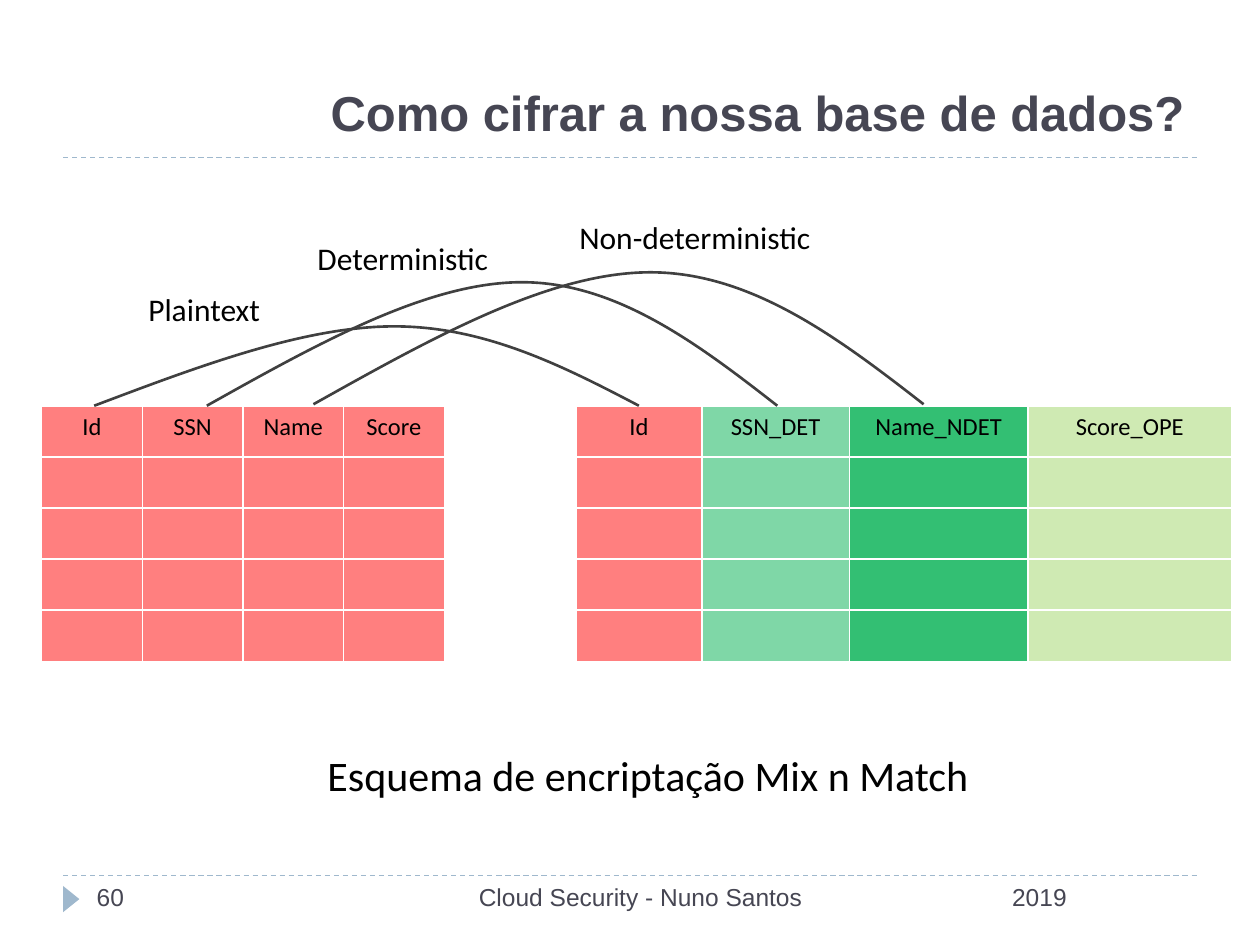
from typing import NamedTuple

from lxml.etree import SubElement
from pptx import Presentation
from pptx.dml.color import RGBColor
from pptx.enum.dml import MSO_LINE
from pptx.enum.shapes import MSO_CONNECTOR, MSO_SHAPE
from pptx.enum.text import MSO_ANCHOR, PP_ALIGN
from pptx.oxml import parse_xml
from pptx.oxml.ns import nsdecls, qn
from pptx.util import Cm, Pt

INK, SLATE, ACCENT = "000000", "464653", "9FB8CD"
LINE, WHITE = "404040", "FFFFFF"
RED, GREEN, LIME = "FF0000", "00B050", "92D050"
TOP, ROW, ROWS = 8.18, 1.03, 5


class Column(NamedTuple):
    name: str
    width: float
    fill: str = RED
    alpha: int = 50


class Label(NamedTuple):
    text: str
    left: float
    top: float
    width: float
    height: float = 1.02
    size: int = 18
    font: str = "Calibri"
    color: str = INK
    align: PP_ALIGN = PP_ALIGN.LEFT
    wrap: bool = False


class Arc(NamedTuple):
    start: float
    mid: float
    end: float
    base: float
    peak: float


PLAIN = [Column(name, 2.03) for name in ("Id", "SSN", "Name", "Score")]
CIPHER = [
    Column("Id", 2.54),
    Column("SSN_DET", 2.97, GREEN),
    Column("Name_NDET", 3.6, GREEN, 80),
    Column("Score_OPE", 4.11, LIME, 43),
]
ARCS = [
    Arc(1.9, 7.95, 12.88, 8.18, 6.58),
    Arc(4.17, 10.52, 15.67, 8.18, 5.69),
    Arc(6.32, 13.11, 18.62, 8.15, 5.49),
]
FOOT = dict(top=17.65, size=14, font="Arial", color=SLATE, wrap=True)
LABELS = [
    Label("Plaintext", 2.74, 5.72, 2.79),
    Label("Deterministic", 6.15, 4.7, 3.99),
    Label("Non-deterministic", 11.43, 4.27, 6.1, wrap=True),
    Label("Esquema de encriptação Mix n Match", 6.35, 14.99, 13.44, 1.27, 24),
    Label("60", left=1.7, width=5.51, **FOOT),
    Label("Cloud Security - Nuno Santos", left=8.05, width=9.73,
          align=PP_ALIGN.CENTER, **FOOT),
    Label("2019", left=17.78, width=6.35, align=PP_ALIGN.CENTER, **FOOT),
]


def rgb(code: str) -> RGBColor:
    return RGBColor.from_string(code)


def write(frame, text: str, size: int, font: str, color: str,
          align: PP_ALIGN, bold: bool = False) -> None:
    para = frame.paragraphs[0]
    para.alignment = align
    run = para.add_run()
    run.text = text
    run.font.size = Pt(size)
    run.font.name = font
    run.font.bold = bold
    run.font.color.rgb = rgb(color)


def add_label(slide, label: Label) -> None:
    box = slide.shapes.add_textbox(Cm(label.left), Cm(label.top),
                                   Cm(label.width), Cm(label.height))
    box.text_frame.word_wrap = label.wrap
    write(box.text_frame, label.text, label.size, label.font,
          label.color, label.align)


def add_rule(slide, top: float) -> None:
    """Draw a dashed line across the slide."""
    rule = slide.shapes.add_connector(MSO_CONNECTOR.STRAIGHT, Cm(1.27),
                                      Cm(top), Cm(24.13), Cm(top))
    rule.line.color.rgb = rgb(ACCENT)
    rule.line.width = Pt(0.75)
    rule.line.dash_style = MSO_LINE.DASH
    SubElement(rule.element.spPr, qn("a:effectLst"))


def paint(cell, fill: str, alpha: int) -> None:
    """Give a cell a see-through fill and white borders."""
    cell.fill.solid()
    cell.fill.fore_color.rgb = rgb(fill)
    props = cell._tc.tcPr
    tint = props.find(".//" + qn("a:srgbClr"))
    SubElement(tint, qn("a:alpha"), val=str(alpha * 1000))
    for spot, side in enumerate("LRTB"):
        props.insert(spot, parse_xml(
            f'<a:ln{side} {nsdecls("a")} w="12700"><a:solidFill>'
            f'<a:srgbClr val="{WHITE}"/></a:solidFill></a:ln{side}>'))


def add_grid(slide, left: float, cols: list[Column]) -> None:
    width = sum(col.width for col in cols)
    table = slide.shapes.add_table(ROWS, len(cols), Cm(left), Cm(TOP),
                                   Cm(width), Cm(ROW * ROWS)).table
    table.first_row = table.horz_banding = False
    for row in table.rows:
        row.height = Cm(ROW)
    for spot, col in enumerate(cols):
        table.columns[spot].width = Cm(col.width)
        for row in range(ROWS):
            paint(table.cell(row, spot), col.fill, col.alpha)
        write(table.cell(0, spot).text_frame, col.name, 14, "Calibri",
              INK, PP_ALIGN.CENTER)


def add_arc(slide, arc: Arc) -> None:
    """Draw two Bézier curves that meet at the peak."""
    rise, fall = arc.mid - arc.start, arc.end - arc.mid
    half = (arc.base + arc.peak) / 2
    points = [
        (arc.start + 0.35 * rise, half),
        (arc.start + 0.7 * rise, arc.peak),
        (arc.mid, arc.peak),
        (arc.mid + 0.37 * fall, arc.peak),
        (arc.mid + 0.69 * fall, half),
        (arc.end, arc.base),
    ]
    pen = slide.shapes.build_freeform(Cm(arc.start), Cm(arc.base))
    pen.add_line_segments([(Cm(x), Cm(y)) for x, y in points], close=False)
    shape = pen.convert_to_shape()
    shape.shadow.inherit = False
    shape.fill.background()
    shape.line.color.rgb = rgb(LINE)
    shape.line.width = Pt(1.5)
    # Every three straight segments become one cubic curve.
    track = shape.element.spPr.find(".//" + qn("a:path"))
    steps = track.findall(qn("a:lnTo"))
    for first in range(0, len(steps), 3):
        curve = SubElement(track, qn("a:cubicBezTo"))
        for step in steps[first:first + 3]:
            curve.append(step[0])
            track.remove(step)


def add_mark(slide) -> None:
    """Draw the small triangle beside the slide number."""
    mark = slide.shapes.add_shape(MSO_SHAPE.ISOSCELES_TRIANGLE, Cm(1.17),
                                  Cm(17.96), Cm(0.53), Cm(0.33))
    mark.rotation = 90
    mark.shadow.inherit = False
    mark.fill.solid()
    mark.fill.fore_color.rgb = rgb(ACCENT)
    mark.line.fill.background()


def set_title(slide, text: str) -> None:
    title = slide.shapes.title
    title.left, title.top = Cm(3.02), Cm(0.64)
    title.width, title.height = Cm(21.11), Cm(2.34)
    title.text_frame.vertical_anchor = MSO_ANCHOR.BOTTOM
    write(title.text_frame, text, 28, "Arial", SLATE, PP_ALIGN.RIGHT, True)


def main() -> None:
    deck = Presentation()
    deck.slide_width, deck.slide_height = Cm(25.4), Cm(19.05)
    slide = deck.slides.add_slide(deck.slide_layouts[5])
    set_title(slide, "Como cifrar a nossa base de dados?")
    for top in (17.65, 3.18):
        add_rule(slide, top)
    add_mark(slide)
    add_grid(slide, 0.84, PLAIN)
    add_grid(slide, 11.61, CIPHER)
    for arc in ARCS:
        add_arc(slide, arc)
    for label in LABELS:
        add_label(slide, label)
    deck.save("out.pptx")


if __name__ == "__main__":
    main()
